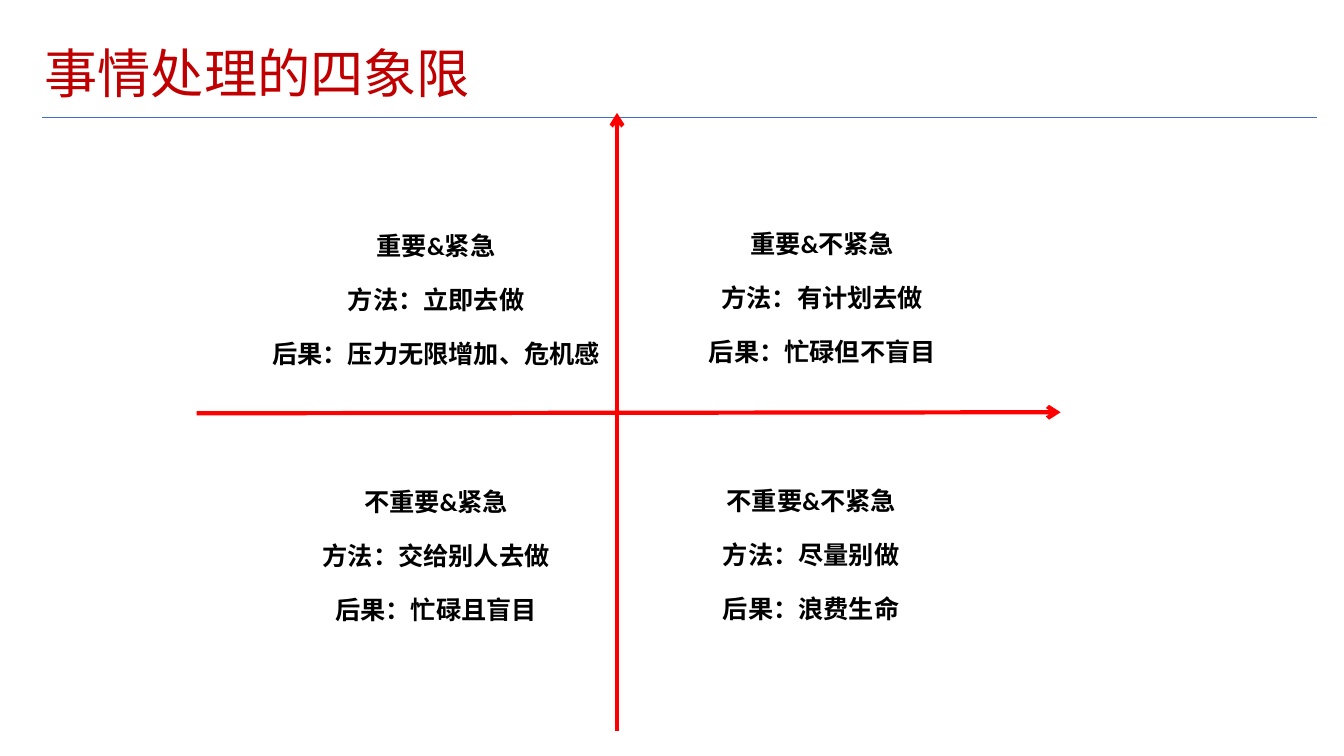
from lxml.etree import SubElement
from pptx import Presentation
from pptx.dml.color import RGBColor
from pptx.enum.shapes import MSO_CONNECTOR
from pptx.enum.text import MSO_ANCHOR, PP_ALIGN
from pptx.oxml.ns import qn
from pptx.util import Pt

PX = 9144  # 100 px to the inch
FONT = "Calibri"
TITLE_RED = RGBColor(0xC0, 0x00, 0x00)
AXIS_RED = RGBColor(0xFF, 0x00, 0x00)
RULE_BLUE = RGBColor(0x3F, 0x6F, 0xC3)
BLACK = RGBColor(0x00, 0x00, 0x00)
INSET = 5

QUADRANT_SIZE = (339, 109)
QUADRANTS = [
    ((263, 209), ["重要&紧急", "方法：立即去做", "后果：压力无限增加、危机感"]),
    ((646, 207), ["重要&不紧急", "方法：有计划去做", "后果：忙碌但不盲目"]),
    ((263, 463), ["不重要&紧急", "方法：交给别人去做", "后果：忙碌且盲目"]),
    ((635, 462), ["不重要&不紧急", "方法：尽量别做", "后果：浪费生命"]),
]


def add_text(slide, box, lines, size, color, bold=False, align=PP_ALIGN.LEFT,
             anchor=MSO_ANCHOR.TOP, line_spacing=1.0, space_before=0):
    frame = slide.shapes.add_textbox(*(n * PX for n in box)).text_frame
    frame.word_wrap = True
    frame.vertical_anchor = anchor
    frame.margin_left = frame.margin_right = INSET * PX
    frame.margin_top = frame.margin_bottom = INSET * PX
    for i, line in enumerate(lines):
        paragraph = frame.add_paragraph() if i else frame.paragraphs[0]
        paragraph.alignment = align
        paragraph.line_spacing = line_spacing
        paragraph.space_before = Pt(space_before if i else 0)
        run = paragraph.add_run()
        run.text = line
        run.font.name = FONT
        run.font.size = Pt(size)
        run.font.bold = bold
        run.font.color.rgb = color


def add_line(slide, start, end, color, width, arrow=False):
    line = slide.shapes.add_connector(
        MSO_CONNECTOR.STRAIGHT, *(n * PX for n in start + end))
    line.line.color.rgb = color
    line.line.width = Pt(width)
    if arrow:
        SubElement(line.line._get_or_add_ln(), qn("a:tailEnd"), type="arrow")
    SubElement(line._element.spPr, qn("a:effectLst"))


def add_header(slide, box):
    left, top, width, height = box
    rule_y = top + height + 6
    add_line(slide, (left + 3, rule_y), (left + 1267, rule_y), RULE_BLUE, 0.75)
    add_text(slide, box, ["事情处理的四象限"], 38, TITLE_RED,
             anchor=MSO_ANCHOR.MIDDLE, line_spacing=0.9)


def add_axes(slide, box):
    left, top, width, height = box
    center_x, center_y = left + 417, top + 298
    add_line(slide, (left, center_y), (left + width, center_y - 1),
             AXIS_RED, 3, arrow=True)
    add_line(slide, (center_x, top + height), (center_x, top),
             AXIS_RED, 3, arrow=True)


def add_quadrant(slide, box, lines):
    add_text(slide, box, lines, 18, BLACK, bold=True, align=PP_ALIGN.CENTER,
             line_spacing=1.5, space_before=6)


def main():
    deck = Presentation()
    deck.slide_width, deck.slide_height = 1333 * PX, 750 * PX
    slide = deck.slides.add_slide(deck.slide_layouts[6])
    add_header(slide, (39, 40, 1113, 71))
    add_axes(slide, (195, 112, 857, 613))
    for corner, lines in QUADRANTS:
        add_quadrant(slide, corner + QUADRANT_SIZE, lines)
    deck.save("out.pptx")


if __name__ == "__main__":
    main()
